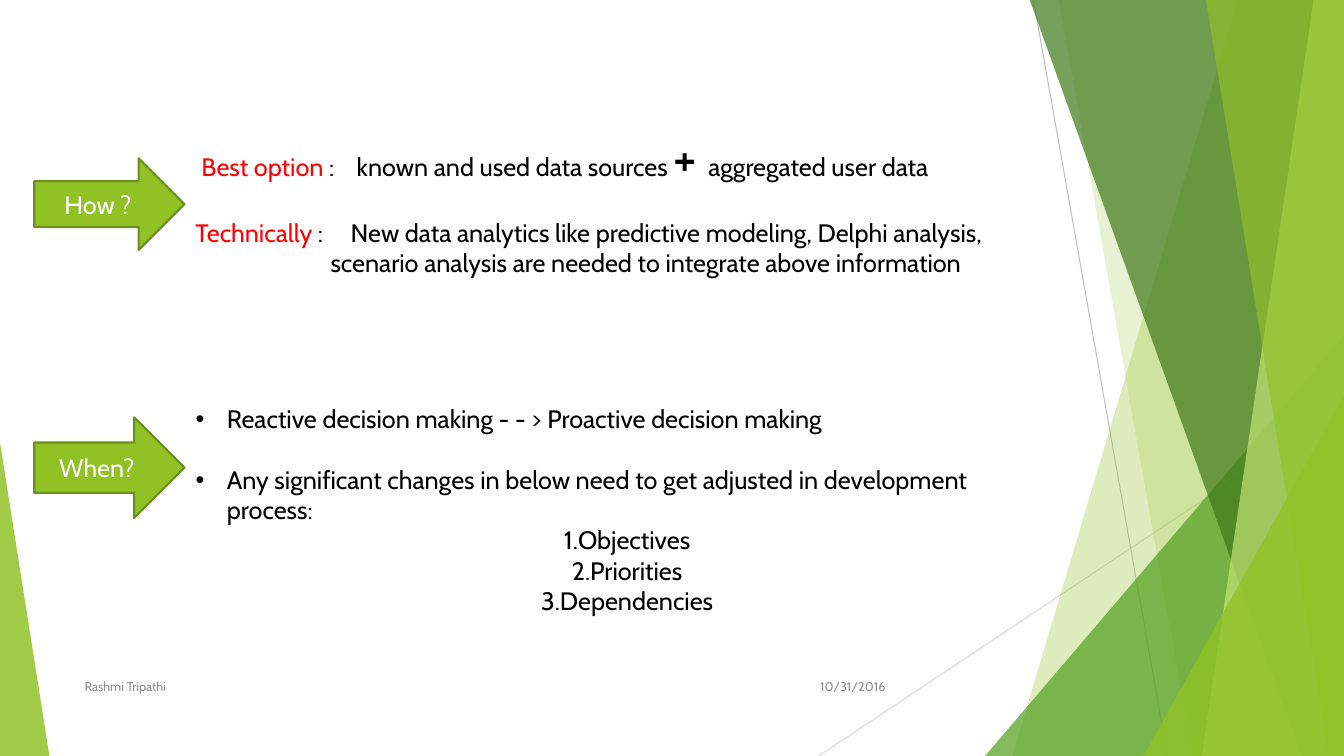
"""Build the slide that explains how and when to adjust decisions."""
from dataclasses import dataclass

from lxml import etree
from pptx import Presentation
from pptx import util as u
from pptx.dml import color
from pptx.enum import shapes, text
from pptx.oxml import ns

FONT = "Cabin"
COLORS = {
    "lime": "90C226", "leaf": "54A021", "forest": "3F7819", "pale": "C0E474",
    "outline": "6B901C", "ray": "BFBFBF", "faint ray": "D9D9D9",
    "footer": "8C8C8C", "label": "FF0000", "ink": "000000", "white": "FFFFFF",
}
RIGHT, TOP, BOTTOM = 13.33, -0.01, 7.5
BULLET = ("a:buChar", {"char": "•"})
NUMBER = ("a:buAutoNum", {"type": "arabicPeriod"})


@dataclass
class Ray:
    start: tuple[float, float]
    end: tuple[float, float]
    color: str


@dataclass
class Facet:
    """A band from the top and bottom edges to the right edge."""
    top_x: float
    bottom_x: float
    color: str
    opacity: int


@dataclass
class Corner:
    left: float
    top: float
    width: float
    apex: float
    color: str
    opacity: int


@dataclass
class Arrow:
    label: str
    top: float
    height: float


@dataclass
class Item:
    wording: str
    marker: tuple[str, dict[str, str]]
    indent: float = 0
    gap: float = 0
    align: text.PP_ALIGN = text.PP_ALIGN.LEFT


@dataclass
class Line:
    """Runs of (wording, color, size) with a left indent and a gap below."""
    runs: list[tuple[str, str, int]]
    indent: float = 0
    gap: float = 0


RAYS = [Ray((10.25, 0), (11.58, 7.5), "ray"),
        Ray((13.33, 4.03), (8.12, 7.5), "faint ray")]
BACKDROP = [
    Facet(12.28, 10.04, "lime", 30),
    Facet(10.5, 11.83, "lime", 20),
    Corner(9.77, 3.33, 3.56, 1, "leaf", 72),
    Facet(10.21, 12.91, "forest", 70),
    Facet(13.03, 11.92, "pale", 70),
    Facet(11.96, 13.18, "lime", 65),
    Corner(11.34, 3.93, 1.99, 1, "lime", 80),
    Corner(0, 4.39, 0.49, 0, "lime", 85),
]
ARROWS = [Arrow("How ?", 1.57, 0.91), Arrow("When?", 4.14, 1)]
HOW = [
    Line([("Best option", "label", 18),
          (" :\tknown and used data sources ", "ink", 18),
          ("+ ", "ink", 36), ("aggregated user data", "ink", 18)], 0.06, 22),
    Line([("Technically", "label", 18),
          (" :\tNew data analytics like predictive modeling, Delphi analysis,", "ink", 18)]),
    Line([("scenario analysis are needed to integrate above information", "ink", 18)], 1.34),
]
WHEN = [
    Item("Reactive decision making - - > Proactive decision making", BULLET, 0.31, 22),
    Item("Any significant changes in below need to get adjusted in development process:",
         BULLET, 0.31),
    *(Item(topic, NUMBER, align=text.PP_ALIGN.CENTER)
      for topic in ("Objectives", "Priorities", "Dependencies")),
]


def rgb(name: str) -> color.RGBColor:
    """Return a palette color."""
    return color.RGBColor.from_string(COLORS[name])


def set_font(font, size: float, name: str) -> None:
    """Apply the slide font in a size and palette color."""
    font.name, font.size = FONT, u.Pt(size)
    font.color.rgb = rgb(name)


def draw_ray(slide, ray: Ray) -> None:
    """Draw a thin background line."""
    line = slide.shapes.add_connector(
        shapes.MSO_CONNECTOR.STRAIGHT, *map(u.Inches, ray.start + ray.end))
    line.line.color.rgb = rgb(ray.color)
    line.line.width = u.Pt(0.75)
    etree.SubElement(line.element.spPr, ns.qn("a:effectLst"))


def draw_backdrop(slide, part: Facet | Corner) -> None:
    """Draw a translucent band or corner triangle."""
    if isinstance(part, Facet):
        outline = slide.shapes.build_freeform(
            u.Inches(part.top_x), u.Inches(TOP), scale=1.0)
        outline.add_line_segments(
            [(u.Inches(x), u.Inches(y)) for x, y in
             ((RIGHT, TOP), (RIGHT, BOTTOM), (part.bottom_x, BOTTOM))], close=True)
        shape = outline.convert_to_shape()
    else:
        shape = slide.shapes.add_shape(
            shapes.MSO_SHAPE.ISOSCELES_TRIANGLE, u.Inches(part.left),
            u.Inches(part.top), u.Inches(part.width), u.Inches(BOTTOM - part.top))
        shape.adjustments[0] = part.apex
    shape.shadow.inherit = False
    shape.line.fill.background()
    shape.fill.solid()
    shape.fill.fore_color.rgb = rgb(part.color)
    tint = shape.element.spPr.find(".//" + ns.qn("a:srgbClr"))
    etree.SubElement(tint, ns.qn("a:alpha"), val=str(part.opacity * 1000))


def draw_arrow(slide, arrow: Arrow) -> None:
    """Draw a labelled question arrow."""
    shape = slide.shapes.add_shape(
        shapes.MSO_SHAPE.RIGHT_ARROW, u.Inches(0.34), u.Inches(arrow.top),
        u.Inches(1.49), u.Inches(arrow.height))
    shape.shadow.inherit = False
    shape.fill.solid()
    shape.fill.fore_color.rgb = rgb("lime")
    shape.line.color.rgb = rgb("outline")
    shape.line.width = u.Pt(1.5)
    label = shape.text_frame.paragraphs[0]
    label.text, label.alignment = arrow.label, text.PP_ALIGN.CENTER
    set_font(label.font, 18, "white")


def draw_footer(slide, wording: str, left: float, width: float, align: text.PP_ALIGN) -> None:
    """Write one footer field."""
    frame = slide.shapes.add_textbox(
        u.Inches(left), u.Inches(6.61), u.Inches(width), u.Inches(0.4)).text_frame
    frame.word_wrap, frame.vertical_anchor = True, text.MSO_ANCHOR.MIDDLE
    field = frame.paragraphs[0]
    field.text, field.alignment = wording, align
    set_font(field.font, 9, "footer")


def draw_how(slide, lines: list[Line]) -> None:
    """Write the answer to the first question, aligned by a tab stop."""
    frame = slide.shapes.add_textbox(
        u.Inches(1.84), u.Inches(1.2), u.Inches(10.2), u.Inches(1.92)).text_frame
    frame.word_wrap = True
    for i, line in enumerate(lines):
        paragraph = frame.add_paragraph() if i else frame.paragraphs[0]
        paragraph.space_after = u.Pt(line.gap)
        props = paragraph._p.get_or_add_pPr()
        props.set("marL", str(u.Inches(line.indent)))
        stops = etree.SubElement(props, ns.qn("a:tabLst"))
        etree.SubElement(stops, ns.qn("a:tab"), pos=str(u.Inches(1.54)), algn="l")
        for wording, name, size in line.runs:
            run = paragraph.add_run()
            run.text = wording
            set_font(run.font, size, name)


def fill_when(slide, items: list[Item]) -> None:
    """Write the answer to the second question in the body placeholder."""
    body = slide.placeholders[1]
    body.left, body.top, body.width, body.height = map(u.Inches, (1.84, 3.95, 8.76, 2.22))
    frame = body.text_frame
    frame.auto_size, frame.vertical_anchor = text.MSO_AUTO_SIZE.NONE, text.MSO_ANCHOR.TOP
    for i, item in enumerate(items):
        paragraph = frame.add_paragraph() if i else frame.paragraphs[0]
        paragraph.text, paragraph.alignment = item.wording, item.align
        paragraph.space_before, paragraph.space_after = u.Pt(0), u.Pt(item.gap)
        set_font(paragraph.font, 18, "ink")
        props = paragraph._p.get_or_add_pPr()
        props.set("marL", str(u.Inches(item.indent)))
        props.set("indent", str(u.Inches(-item.indent)))
        tag, attributes = item.marker
        marker = etree.Element(ns.qn(tag), attributes)
        props.find(ns.qn("a:defRPr")).addprevious(marker)


def main() -> None:
    """Assemble and save the slide."""
    deck = Presentation()
    deck.slide_width, deck.slide_height = u.Inches(RIGHT), u.Inches(BOTTOM)
    slide = deck.slides.add_slide(deck.slide_layouts[1])
    title = slide.shapes.title.element
    title.getparent().remove(title)
    for ray in RAYS:
        draw_ray(slide, ray)
    for part in BACKDROP:
        draw_backdrop(slide, part)
    draw_footer(slide, "10/31/2016", 7.88, 1, text.PP_ALIGN.RIGHT)
    draw_footer(slide, "Rashmi Tripathi", 0.74, 6.89, text.PP_ALIGN.LEFT)
    draw_how(slide, HOW)
    fill_when(slide, WHEN)
    for arrow in ARROWS:
        draw_arrow(slide, arrow)
    deck.save("out.pptx")


if __name__ == "__main__":
    main()
